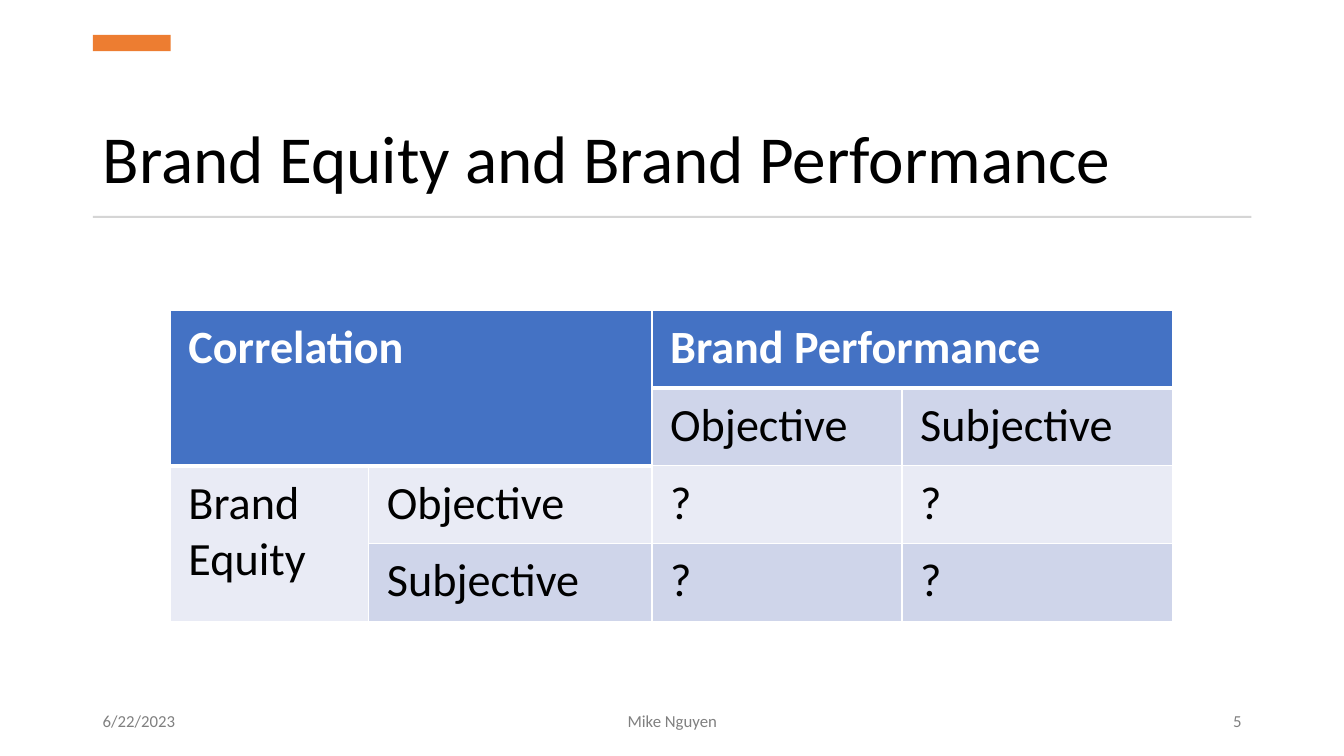
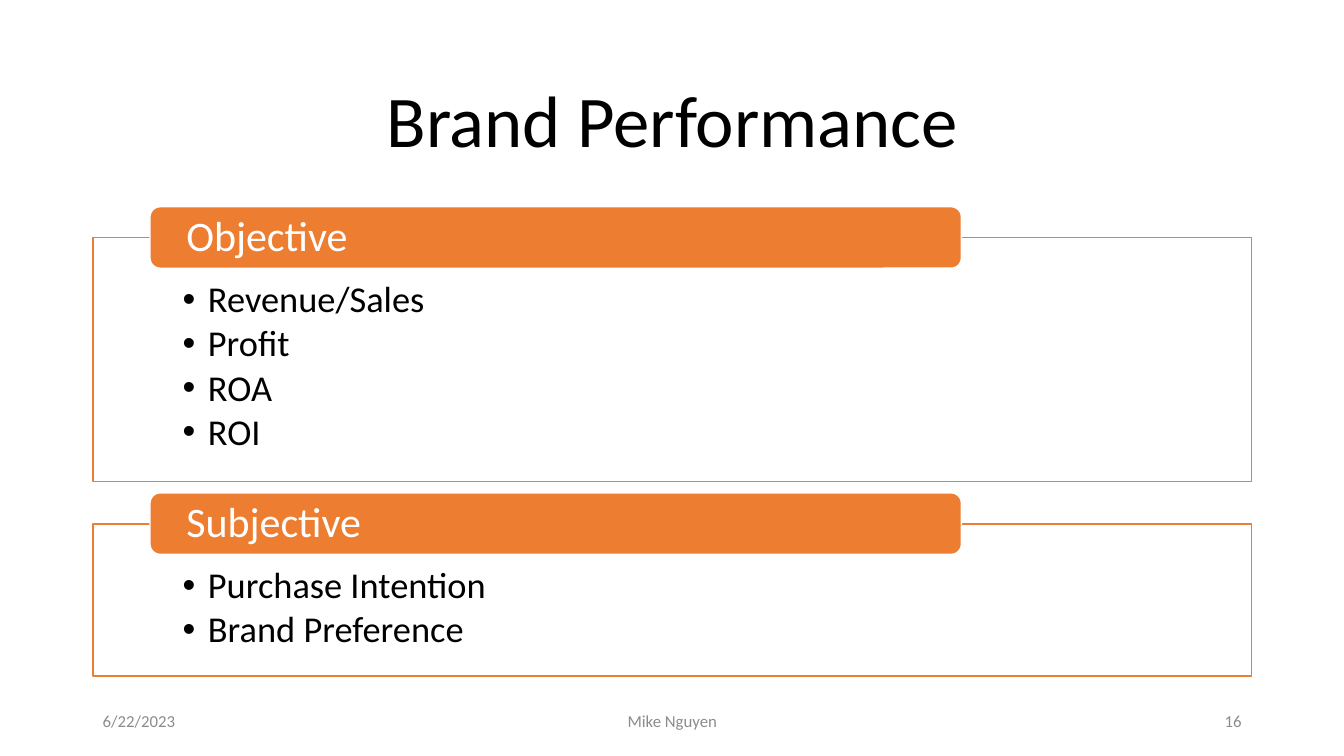
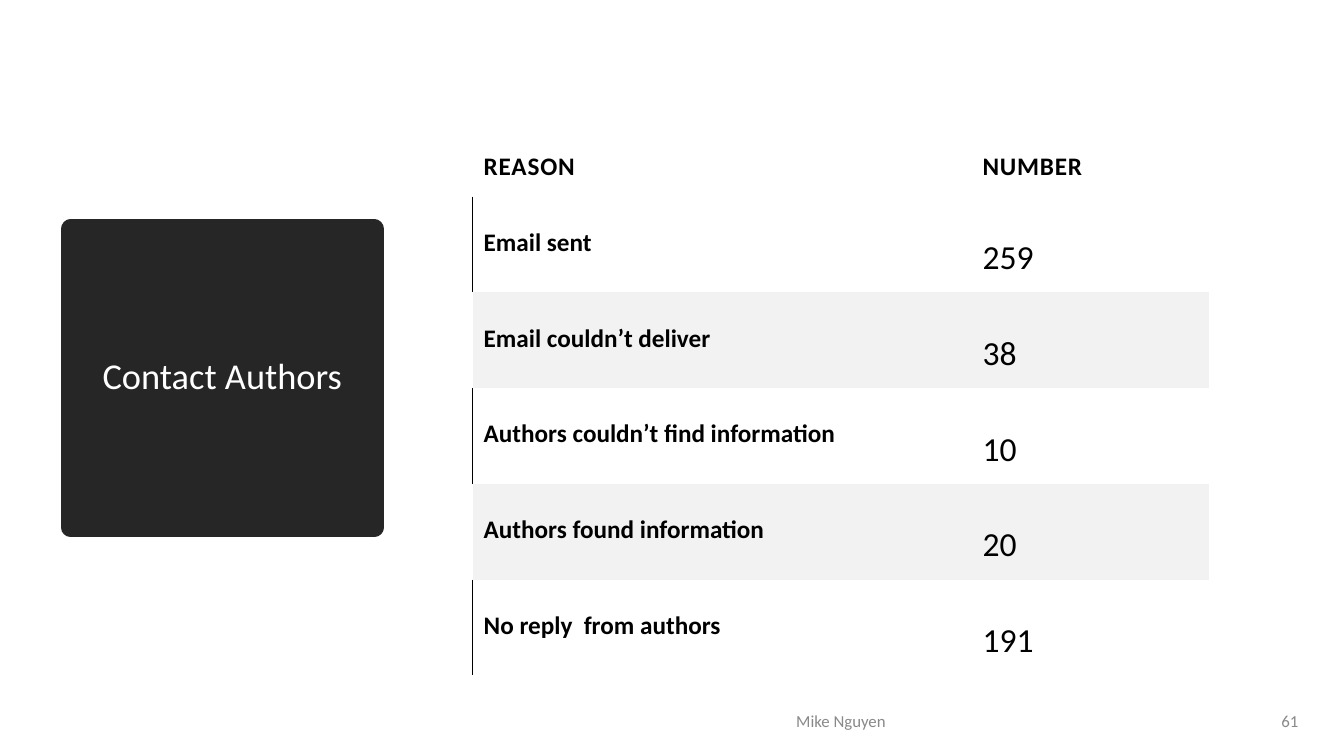
from dataclasses import dataclass

from lxml.etree import SubElement
from pptx import Presentation
from pptx.dml.color import RGBColor
from pptx.enum.shapes import MSO_SHAPE
from pptx.enum.text import MSO_ANCHOR, MSO_AUTO_SIZE, PP_ALIGN
from pptx.oxml.ns import qn
from pptx.util import Cm, Pt


@dataclass(frozen=True)
class Theme:
    font: str = "Calibri"
    black: str = "000000"
    white: str = "FFFFFF"
    orange: str = "ED7D31"
    blue: str = "4472C4"
    blue_mid: str = "CFD5EA"
    blue_pale: str = "E9EBF5"
    charcoal: str = "262626"
    stripe: str = "F2F2F2"
    rule: str = "D5D5D5"
    title: int = 48
    title_large: int = 52
    title_small: int = 26
    matrix: int = 33
    tab: int = 30
    bullet: int = 26
    number: int = 24
    reason: int = 18
    footer: int = 12


THEME = Theme()
TITLE_ONLY, TWO_CONTENT = 5, 3
LEFT, WIDTH = 2.34, 29.2
SIDES = ("L", "R", "T", "B")


def apply(target, **values):
    for name, value in values.items():
        setattr(target, name, value)


def place(target, left, top, width, height):
    apply(target, left=Cm(left), top=Cm(top), width=Cm(width), height=Cm(height))


def set_margins(target, left, top, right, bottom):
    apply(target, margin_left=Cm(left), margin_top=Cm(top),
          margin_right=Cm(right), margin_bottom=Cm(bottom))


def paint(shape, fill, outline=None, weight=1):
    shape.fill.solid()
    shape.fill.fore_color.rgb = RGBColor.from_string(fill)
    if outline:
        shape.line.color.rgb = RGBColor.from_string(outline)
        shape.line.width = Pt(weight)
    else:
        shape.line.fill.background()


def write(paragraph, text, size, color, bold=False, **layout):
    run = paragraph.add_run()
    run.text = text
    apply(run.font, name=THEME.font, size=Pt(size), bold=bold)
    run.font.color.rgb = RGBColor.from_string(color)
    apply(paragraph, **layout)
    return run


def set_title(slide, text, box, size, color=THEME.black,
              align=PP_ALIGN.CENTER, anchor=MSO_ANCHOR.MIDDLE):
    title = slide.shapes.title
    place(title, *box)
    apply(title.text_frame, word_wrap=True, vertical_anchor=anchor,
          auto_size=MSO_AUTO_SIZE.NONE)
    write(title.text_frame.paragraphs[0], text, size, color,
          alignment=align, line_spacing=0.9)
    return title


def add_block(slide, kind, box, fill, outline=None):
    block = slide.shapes.add_shape(kind, 0, 0, 0, 0)
    place(block, *box)
    block.shadow.inherit = False
    paint(block, fill, outline)
    return block


def add_footer(slide, color, *entries):
    for text, left, width, align in entries:
        footer = slide.shapes.add_textbox(0, 0, 0, 0)
        place(footer, left, 17.65, width, 1.02)
        apply(footer.text_frame, word_wrap=True, vertical_anchor=MSO_ANCHOR.MIDDLE)
        write(footer.text_frame.paragraphs[0], text, THEME.footer, color, alignment=align)


def add_full_footer(slide, color, page):
    add_footer(slide, color,
               ("6/22/2023", LEFT, 7.62, PP_ALIGN.LEFT),
               ("Mike Nguyen", 11.23, 11.43, PP_ALIGN.CENTER),
               (page, LEFT + WIDTH - 7.62, 7.62, PP_ALIGN.RIGHT))


def add_table(slide, left, top, columns, rows):
    frame = slide.shapes.add_table(len(rows), len(columns), Cm(left), Cm(top),
                                   Cm(sum(columns)), Cm(sum(rows)))
    table = frame.table
    apply(table, first_row=False, horz_banding=False)
    for column, width in zip(table.columns, columns):
        column.width = Cm(width)
    for row, height in zip(table.rows, rows):
        row.height = Cm(height)
    return table


def style_cell(cell, fill, borders):
    """Borders map a side to (colour, points); absent sides have no line."""
    properties = cell._tc.get_or_add_tcPr()
    for side in SIDES:
        line = SubElement(properties, qn(f"a:ln{side}"))
        if side in borders:
            color, weight = borders[side]
            line.set("w", str(Pt(weight)))
            solid = SubElement(line, qn("a:solidFill"))
            SubElement(solid, qn("a:srgbClr")).set("val", color)
        else:
            SubElement(line, qn("a:noFill"))
    if fill:
        cell.fill.solid()
        cell.fill.fore_color.rgb = RGBColor.from_string(fill)
    else:
        cell.fill.background()


def add_panel(slide, body, heading, items, top):
    """Fill a list panel with its heading tab and return the panel's height."""
    height = 1.54 + 1.15 * len(items)
    place(body, LEFT, top, WIDTH, height)
    paint(body, THEME.white, THEME.orange)
    frame = body.text_frame
    apply(frame, word_wrap=True, auto_size=MSO_AUTO_SIZE.NONE,
          vertical_anchor=MSO_ANCHOR.TOP)
    set_margins(frame, 2.26, 1.09, 2.26, 0.51)
    for index, item in enumerate(items):
        paragraph = frame.add_paragraph() if index else frame.paragraphs[0]
        indent = Cm(0.64)
        properties = paragraph._p.get_or_add_pPr()
        properties.set("marL", str(indent))
        properties.set("indent", str(-indent))
        write(paragraph, item, THEME.bullet, THEME.black,
              line_spacing=0.9, space_before=Pt(0), space_after=Pt(3.6))

    tab = add_block(slide, MSO_SHAPE.ROUNDED_RECTANGLE, (3.78, top - 0.78, 20.45, 1.55),
                    THEME.orange, THEME.white)
    apply(tab.text_frame, word_wrap=True, vertical_anchor=MSO_ANCHOR.MIDDLE)
    set_margins(tab.text_frame, 0.84, 0, 0.84, 0)
    write(tab.text_frame.paragraphs[0], heading, THEME.tab, THEME.white,
          alignment=PP_ALIGN.LEFT, line_spacing=0.9)
    return height


def build_equity_matrix(slide):
    set_title(slide, "Brand Equity and Brand Performance", (LEFT, 1.9, WIDTH, 3.23),
              THEME.title, align=PP_ALIGN.LEFT, anchor=MSO_ANCHOR.BOTTOM)
    add_block(slide, MSO_SHAPE.RECTANGLE, (LEFT, 0.88, 1.96, 0.41), THEME.orange)
    add_block(slide, MSO_SHAPE.RECTANGLE, (LEFT, 5.44, WIDTH, 0.05), THEME.rule)
    add_full_footer(slide, "808080", "5")

    labels = [
        ["Correlation", "", "Brand Performance", ""],
        ["", "", "Objective", "Subjective"],
        ["Brand Equity", "Objective", "?", "?"],
        ["", "Subjective", "?", "?"],
    ]

    def is_header(row, column):
        return row == 0 or (row == 1 and column < 2)

    matrix = add_table(slide, 4.29, 7.82, [5, 7.14, 6.3, 6.81], [1.96] * 4)
    for row, line in enumerate(labels):
        for column, label in enumerate(line):
            cell = matrix.cell(row, column)
            header = is_header(row, column)
            band = THEME.blue_mid if row % 2 else THEME.blue_pale
            borders = dict.fromkeys(SIDES, (THEME.white, 1))
            if header:
                borders["B"] = (THEME.white, 3)
            elif is_header(row - 1, column):
                borders["T"] = (THEME.white, 3)
            style_cell(cell, THEME.blue if header else band, borders)
            set_margins(cell, 0.46, 0.23, 0.46, 0.23)
            if label:
                write(cell.text_frame.paragraphs[0], label, THEME.matrix,
                      THEME.white if header else THEME.black, header)
    for start, end in (((0, 0), (1, 1)), ((0, 2), (0, 3)), ((2, 0), (3, 0))):
        matrix.cell(*start).merge(matrix.cell(*end))


def build_performance_lists(slide):
    set_title(slide, "Brand Performance", (LEFT, 1.55, WIDTH, 3.15), THEME.title_large)
    add_full_footer(slide, "8C8C8C", "16")
    panels = [
        ("Objective", ["Revenue/Sales", "Profit", "ROA", "ROI"]),
        ("Subjective", ["Purchase Intention", "Brand Preference"]),
    ]
    top = 5.99
    for index, (heading, items) in enumerate(panels, 1):
        top += add_panel(slide, slide.placeholders[index], heading, items, top) + 1.07


def build_contact_table(slide):
    title = set_title(slide, "Contact Authors", (1.78, 5.77, 7.65, 7.52),
                      THEME.title_small, THEME.white)
    paint(title, THEME.charcoal, THEME.charcoal, 13.75)
    add_footer(slide, "898989",
               ("Mike Nguyen", 11.43, 19.53, PP_ALIGN.CENTER),
               ("61", 31.42, 1.55, PP_ALIGN.RIGHT))

    records = [
        ("REASON", "NUMBER"),
        ("Email sent", "259"),
        ("Email couldn’t deliver", "38"),
        ("Authors couldn’t find information", "10"),
        ("Authors found information", "20"),
        ("No reply  from authors", "191"),
    ]
    contacts = add_table(slide, 11.91, 2.67, [12.57, 6], [2.24] + [2.29] * 5)
    for row, record in enumerate(records):
        header = row == 0
        striped = not header and row % 2 == 0
        for column, value in enumerate(record):
            cell = contacts.cell(row, column)
            ruled = column == 0 and not header and not striped
            style_cell(cell, THEME.stripe if striped else None,
                       {"L": (THEME.black, 1)} if ruled else {})
            set_margins(cell, 0.28, 0.38 if header else 0, 0.28, 0.38)
            cell.vertical_anchor = MSO_ANCHOR.BOTTOM if header else MSO_ANCHOR.TOP
            strong = header or column == 0
            run = write(cell.text_frame.paragraphs[0], value,
                        THEME.reason if strong else THEME.number,
                        THEME.black, strong, line_spacing=2.0)
            if header:
                run.font._element.set("spc", "60")


def main():
    deck = Presentation()
    apply(deck, slide_width=Cm(33.87), slide_height=Cm(19.05))
    for layout, build in ((TITLE_ONLY, build_equity_matrix),
                          (TWO_CONTENT, build_performance_lists),
                          (TITLE_ONLY, build_contact_table)):
        build(deck.slides.add_slide(deck.slide_layouts[layout]))
    deck.save("out.pptx")


if __name__ == "__main__":
    main()
